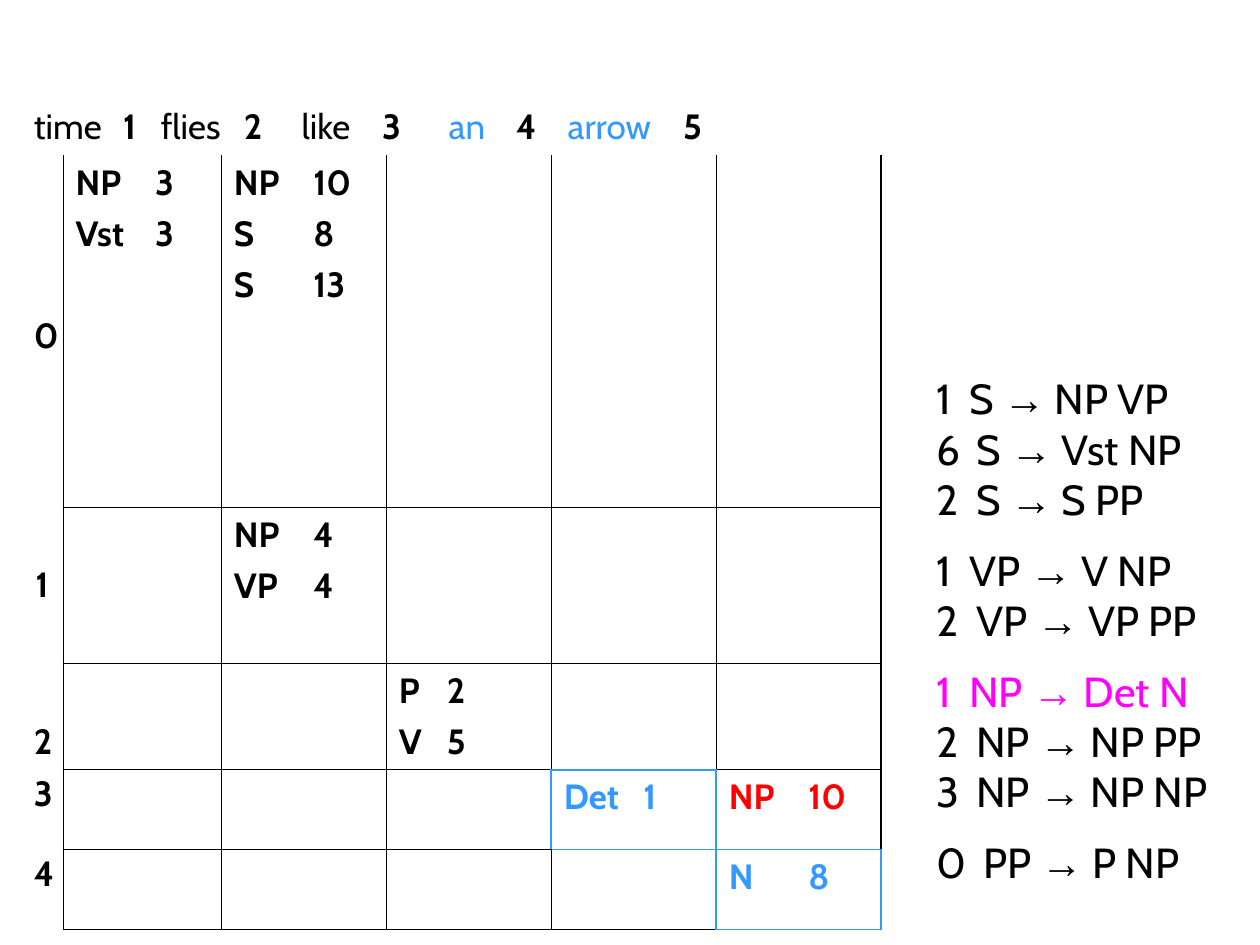
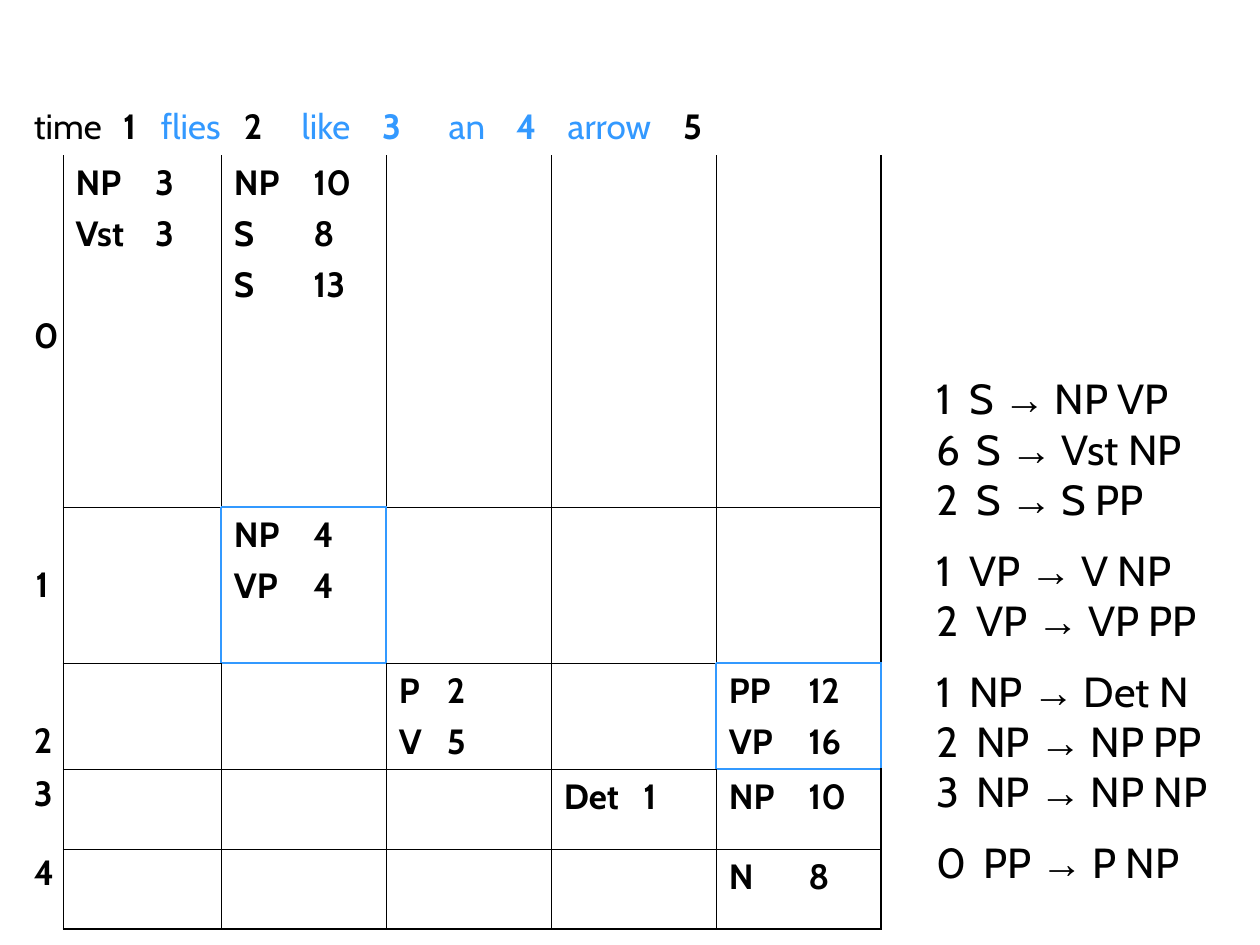
from lxml import etree
from pptx import Presentation
from pptx.dml.color import RGBColor
from pptx.enum.text import MSO_ANCHOR, PP_ALIGN
from pptx.oxml.ns import qn
from pptx.util import Pt

TOP, MIDDLE, BOTTOM = MSO_ANCHOR.TOP, MSO_ANCHOR.MIDDLE, MSO_ANCHOR.BOTTOM
CENTER = PP_ALIGN.CENTER

BLACK = RGBColor(0x00, 0x00, 0x00)
BLUE = RGBColor(0x33, 0x99, 0xFF)
RED = RGBColor(0xFF, 0x00, 0x00)
MAGENTA = RGBColor(0xFF, 0x00, 0xFF)
FONT, ARROW_FONT = "Cabin", "Arial"
THIN, THICK = 0.45, 1.08

COLUMN_WIDTHS = [23.8, 90.5] + [94.3] * 4
ROW_HEIGHTS = [31.7, 201.2, 89.1, 60.6, 45.7, 45.7]
LAST = 5

SENTENCE = ["time", "1", "flies", "2", "like", "3", "an", "4", "arrow", "5"]
SENTENCE_STOPS = [51, 72.5, 120, 153, 199, 237, 275.5, 305, 371]
START_ANCHORS = [MIDDLE, MIDDLE, BOTTOM, TOP, TOP]

# Chart entries by (row, column)
CONSTITUENTS = {
    (1, 1): ["NP\t3", "Vst\t3"],
    (1, 2): ["NP\t10", "S\t8", "S\t13"],
    (2, 2): ["NP\t4", "VP\t4"],
    (3, 3): ["P\t2", "V\t5"],
    (4, 4): ["Det\t1"],
    (4, 5): ["NP\t10"],
    (5, 5): ["N\t8"],
}
GRAMMAR = [
    ["1\tS → NP VP", "6\tS → Vst NP", "2\tS → S PP"],
    ["1\tVP → V NP", "2\tVP → VP PP"],
    ["1\tNP → Det N", "2\tNP → NP PP", "3\tNP → NP NP"],
    ["0\tPP → P NP"],
]
COST_WIDTHS = {"1": 19, "0": 27}

STEPS = [
    {
        "words": {"an", "arrow"},
        "boxes": {(4, 4), (5, 5)},
        "entries": CONSTITUENTS,
        "colors": {(4, 4): BLUE, (4, 5): RED, (5, 5): BLUE},
        "rule": "1\tNP → Det N",
    },
    {
        "words": {"flies", "like", "3", "an", "4", "arrow"},
        "boxes": {(2, 2), (3, 5)},
        "entries": {**CONSTITUENTS, (3, 5): ["PP\t12", "VP\t16"]},
        "colors": {},
        "rule": None,
    },
]


def set_tabs(paragraph, stops):
    tabs = etree.SubElement(paragraph._p.get_or_add_pPr(), qn("a:tabLst"))
    for stop in stops:
        etree.SubElement(tabs, qn("a:tab"), pos=str(Pt(stop)), algn="l")


def add_text(paragraph, text, size, color, bold=False, font=FONT):
    run = paragraph.add_run()
    run.text = text
    run.font.size = Pt(size)
    run.font.name = font
    run.font.bold = bold
    run.font.color.rgb = color


prs = Presentation()
prs.slide_width, prs.slide_height = Pt(720), Pt(540)

for step in STEPS:
    slide = prs.slides.add_slide(prs.slide_layouts[6])
    parse_chart = slide.shapes.add_table(
        6, 6, Pt(12.2), Pt(56.9), Pt(sum(COLUMN_WIDTHS)), Pt(sum(ROW_HEIGHTS))
    ).table
    parse_chart.first_row = parse_chart.horz_banding = False
    for column, width in zip(parse_chart.columns, COLUMN_WIDTHS):
        column.width = Pt(width)
    for row, height in zip(parse_chart.rows, ROW_HEIGHTS):
        row.height = Pt(height)

    # Cell borders: thin grid, thick outer edge, blue boxes around the parts in use
    boxes = step["boxes"]
    for r in range(6):
        for c in range(6):
            cell = parse_chart.cell(r, c)
            cell.fill.background()
            cell.margin_left = cell.margin_right = Pt(7.2)
            cell.margin_top = cell.margin_bottom = Pt(3.6)
            in_grid = r > 0 and c > 0
            sides = [
                ("a:lnL", (r, c - 1), in_grid, False),
                ("a:lnR", (r, c + 1), r > 0, c == LAST),
                ("a:lnT", (r - 1, c), in_grid and r > 1, False),
                ("a:lnB", (r + 1, c), in_grid, r == LAST),
            ]
            for position, (tag, neighbour, drawn, outer) in enumerate(sides):
                boxed = (r, c) in boxes or neighbour in boxes
                line = etree.Element(qn(tag))
                if drawn:
                    line.set("w", str(Pt(THICK if boxed or outer else THIN)))
                    fill = etree.SubElement(line, qn("a:solidFill"))
                    color = BLUE if boxed else BLACK
                    etree.SubElement(fill, qn("a:srgbClr"), val=str(color))
                else:
                    line.set("w", "0")
                    etree.SubElement(line, qn("a:noFill"))
                cell._tc.get_or_add_tcPr().insert(position, line)

    # Sentence with its numbered positions
    header = parse_chart.cell(0, 0)
    header.merge(parse_chart.cell(0, LAST))
    sentence = header.text_frame.paragraphs[0]
    set_tabs(sentence, SENTENCE_STOPS)
    for i, word in enumerate(SENTENCE):
        color = BLUE if word in step["words"] else BLACK
        add_text(sentence, ("\t" if i else "") + word, 20, color, word.isdigit())

    # Start positions
    for start, anchor in enumerate(START_ANCHORS):
        cell = parse_chart.cell(start + 1, 0)
        cell.vertical_anchor = anchor
        label = cell.text_frame.paragraphs[0]
        label.alignment = CENTER
        if anchor == TOP:
            label.line_spacing = 0.9
        add_text(label, str(start), 20, BLACK, True)
    parse_chart.cell(1, 0).margin_top = Pt(9.3)

    for position, entries in step["entries"].items():
        frame = parse_chart.cell(*position).text_frame
        for i, entry in enumerate(entries):
            paragraph = frame.add_paragraph() if i else frame.paragraphs[0]
            set_tabs(paragraph, [27.4 if position == (3, 3) else 45.4])
            if i:
                paragraph.space_before = Pt(5)
            color = step["colors"].get(position, BLACK)
            add_text(paragraph, entry, 20, color, True)

    # Weighted grammar rules
    grammar = slide.shapes.add_textbox(Pt(527.8), Pt(209.5), Pt(192), Pt(301)).text_frame
    grammar.word_wrap = True
    for g, group in enumerate(GRAMMAR):
        for i, rule in enumerate(group):
            paragraph = grammar.add_paragraph() if g or i else grammar.paragraphs[0]
            set_tabs(paragraph, [COST_WIDTHS.get(rule[0], 23)])
            if g and i == 0:
                paragraph.line_spacing = 1.4
            color = MAGENTA if rule == step["rule"] else BLACK
            left, arrow, right = rule.partition("→")
            add_text(paragraph, left, 24, color)
            add_text(paragraph, arrow, 24, color, font=ARROW_FONT)
            add_text(paragraph, right, 24, color)

prs.save("out.pptx")
